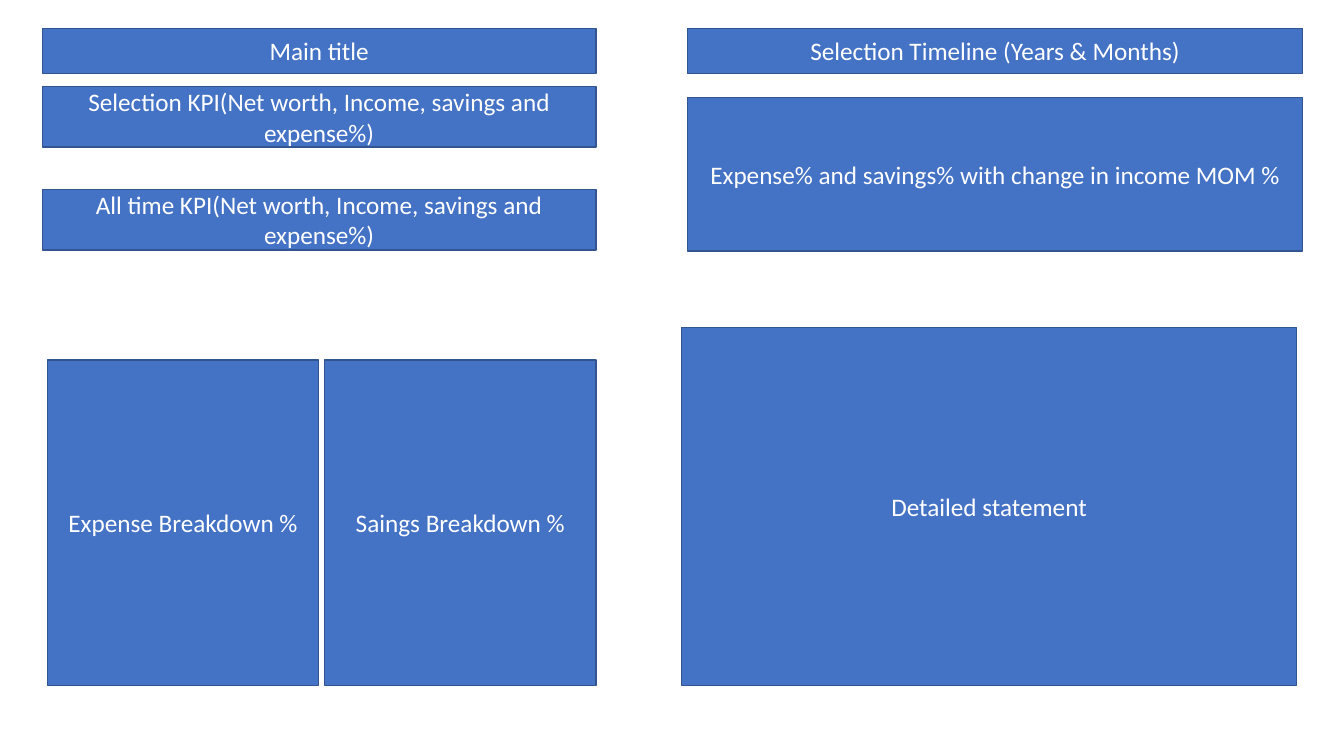
from dataclasses import dataclass

import pptx
import pptx.dml.color
import pptx.enum.shapes
import pptx.enum.text
import pptx.slide
import pptx.util
from pptx.util import Inches

FONT = "Calibri"
FILL, OUTLINE, TEXT = "4472C4", "325491", "FFFFFF"

# Columns and shared sizes, in inches
LEFT_X, LEFT_W = 0.42, 5.49
RIGHT_X, RIGHT_W = 6.82, 6.1
TOP_Y, TOP_H = 0.28, 0.45
KPI_H = 0.6
BREAKDOWN_X, BREAKDOWN_Y = 0.47, 3.57
BREAKDOWN_W, BREAKDOWN_H = 2.69, 3.23
BREAKDOWN_STEP = 2.75


@dataclass
class Panel:
    text: str
    left: float
    top: float
    width: float
    height: float


def color(value: str) -> pptx.dml.color.RGBColor:
    return pptx.dml.color.RGBColor.from_string(value)


def draw_panel(s: pptx.slide.Slide, panel: Panel) -> None:
    sp = s.shapes.add_shape(
        pptx.enum.shapes.MSO_SHAPE.RECTANGLE,
        Inches(panel.left), Inches(panel.top),
        Inches(panel.width), Inches(panel.height),
    )
    sp.shadow.inherit = False
    sp.fill.solid()
    sp.fill.fore_color.rgb = color(FILL)
    sp.line.color.rgb = color(OUTLINE)
    sp.line.width = pptx.util.Pt(1)

    tf = sp.text_frame
    tf.word_wrap = True
    tf.vertical_anchor = pptx.enum.text.MSO_ANCHOR.MIDDLE
    tf.text = panel.text
    p = tf.paragraphs[0]
    p.alignment = pptx.enum.text.PP_ALIGN.CENTER
    r = p.runs[0]
    r.font.name = FONT
    r.font.size = pptx.util.Pt(18)
    r.font.color.rgb = color(TEXT)


# Header row
headers = [
    Panel("Main title", LEFT_X, TOP_Y, LEFT_W, TOP_H),
    Panel("Selection Timeline (Years & Months)", RIGHT_X, TOP_Y, RIGHT_W, TOP_H),
]

# KPI bars
kpis = [
    Panel(f"{scope} KPI(Net worth, Income, savings and expense%)",
          LEFT_X, top, LEFT_W, KPI_H)
    for scope, top in (("Selection", 0.86), ("All time", 1.88))
]

# Breakdown pair
breakdowns = [
    Panel(f"{subject} Breakdown %", BREAKDOWN_X + i * BREAKDOWN_STEP,
          BREAKDOWN_Y, BREAKDOWN_W, BREAKDOWN_H)
    for i, subject in enumerate(("Expense", "Saings"))
]

# Trend and statement areas
details = [
    Panel("Expense% and savings% with change in income MOM %",
          RIGHT_X, 0.97, RIGHT_W, 1.52),
    Panel("Detailed statement", 6.76, 3.25, RIGHT_W, 3.55),
]

prs = pptx.Presentation()
prs.slide_width, prs.slide_height = Inches(13.33), Inches(7.5)
s = prs.slides.add_slide(prs.slide_layouts[6])
for panel in headers + kpis + breakdowns + details:
    draw_panel(s, panel)
prs.save("out.pptx")
